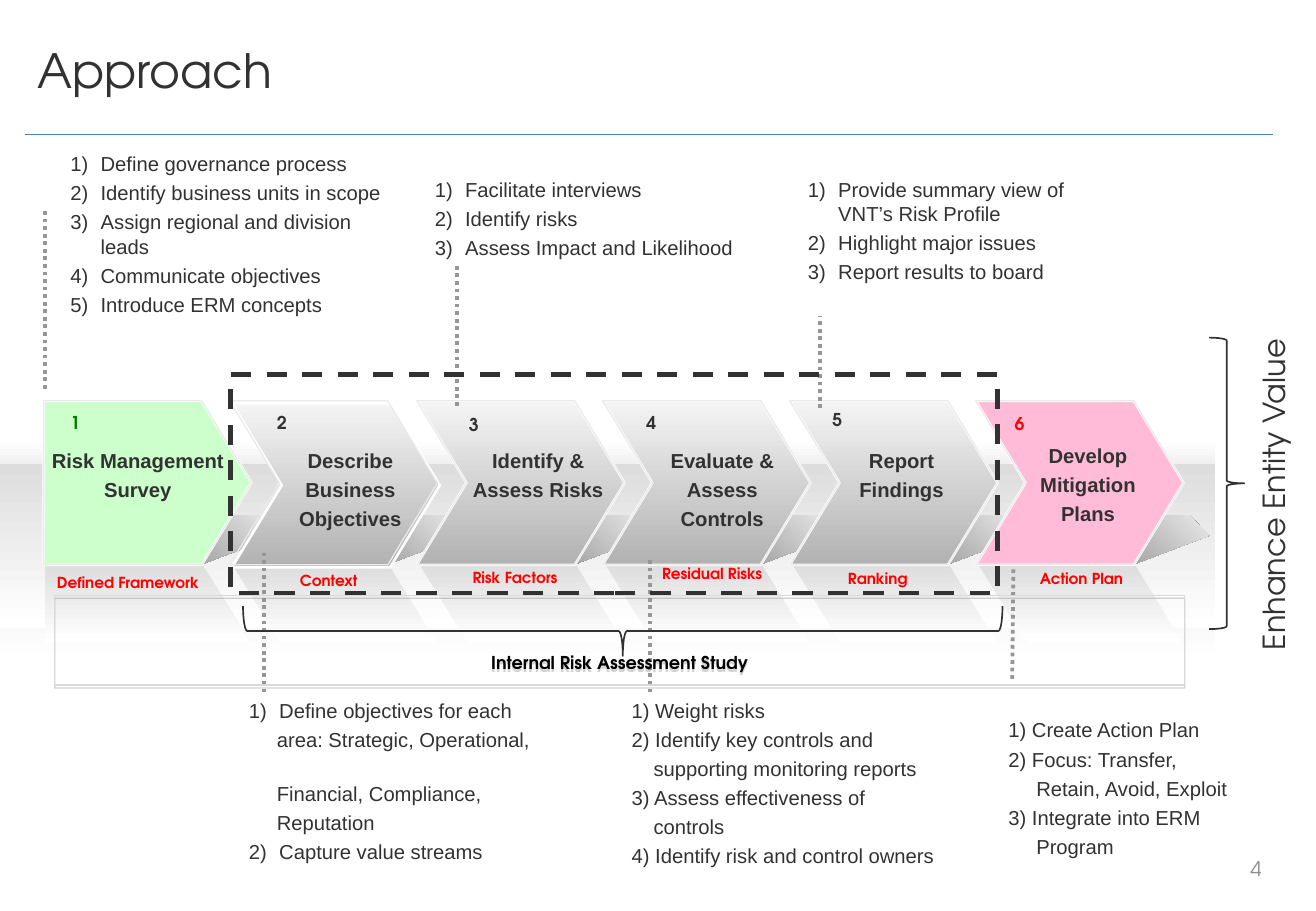
"""Build the Approach slide: a six-stage risk management process."""
import lxml.etree
import pptx
import pptx.dml.color
import pptx.enum.dml
import pptx.enum.shapes
import pptx.enum.text
import pptx.oxml.ns
import pptx.util

PX = 9144
RGB = pptx.dml.color.RGBColor
SHAPE = pptx.enum.shapes.MSO_SHAPE
DASH = pptx.enum.dml.MSO_LINE
ALIGN = pptx.enum.text.PP_ALIGN
ANCHOR = pptx.enum.text.MSO_ANCHOR
AUTO = pptx.enum.text.MSO_AUTO_SIZE
Pt = pptx.util.Pt

INK = RGB(0x31, 0x32, 0x31)
BLACK = RGB(0, 0, 0)
WHITE = RGB(0xFF, 0xFF, 0xFF)
RED = RGB(0xFF, 0, 0)
GREEN = RGB(0, 0x80, 0)
MINT = RGB(0xCC, 0xFF, 0xCC)
PINK = RGB(0xFF, 0xBB, 0xD7)
BLUE = RGB(0x4F, 0x81, 0xBD)
DOT_GRAY = RGB(0x96, 0x96, 0x96)
PAGE_GRAY = RGB(0x90, 0x90, 0x90)
EDGE = RGB(0xEA, 0xEA, 0xEA)
BOX_EDGE = RGB(0xD9, 0xD9, 0xD9)
MIST = RGB(0xDD, 0xDD, 0xDD)
STEEL = (RGB(0xF4, 0xF4, 0xF4), RGB(0xB2, 0xB2, 0xB2))
FOLD = (RGB(0x4D, 0x4D, 0x4D), EDGE)

BODY = {"name": "Arial", "size": Pt(12)}
STAGE = {**BODY, "bold": True}
DISPLAY = "TeX Gyre Adventor"
NUMBER = {"name": DISPLAY, "size": Pt(10.5), "bold": True}
OUTPUT = {"name": DISPLAY, "size": Pt(9), "bold": True}
SNUG = {"word_wrap": False, "auto_size": AUTO.SHAPE_TO_FIT_TEXT}
WRAPPED = {"word_wrap": True}
STAGE_FRAME = {**SNUG, "margin_left": 10 * PX, "margin_top": 10 * PX,
               "margin_right": 8 * PX, "margin_bottom": 10 * PX}
CENTRED = {"alignment": ALIGN.CENTER}
GAP = Pt(2.8)
WIDE_GAP = Pt(17.6)

STAGES = [
    (MINT, (32, 359, 161, 64), ["Risk Management", "Survey"],
     (48, 334), GREEN, (37, 467, 139), "Defined Framework"),
    (STEEL, (236, 359, 103, 89), ["Describe", "Business", "Objectives"],
     (218, 334), INK, (237, 465, 69), "Context"),
    (STEEL, (378, 359, 128, 89), ["Identify &", "Assess Risks"],
     (376, 336), INK, (379, 463, 91), "Risk Factors"),
    (STEEL, (541, 359, 105, 89), ["Evaluate &", "Assess", "Controls"],
     (522, 334), INK, (535, 460, 104), "Residual Risks"),
    (STEEL, (697, 359, 88, 64), ["Report", "Findings"],
     (675, 332), INK, (688, 464, 70), "Ranking"),
    (PINK, (846, 355, 97, 89), ["Develop", "Mitigation", "Plans"],
     (825, 335), RED, (846, 464, 90), "Action Plan"),
]
NUMBERED_LISTS = [
    ((48, 120, 289, 140), ["Define governance process", "Identify business units in scope",
                           "Assign regional and division leads", "Communicate objectives",
                           "Introduce ERM concepts"]),
    ((348, 141, 270, 105), ["Facilitate interviews", "Identify risks",
                            "Assess Impact and Likelihood"]),
    ((655, 141, 243, 105), ["Provide summary view of VNT’s Risk Profile",
                            "Highlight major issues", "Report results to board"]),
]
TYPED_LISTS = [
    ((195, 570, 257, 136), 23, ["1)\tDefine objectives for each", "area: Strategic, Operational,",
                                "Financial, Compliance,", "Reputation",
                                "2)\tCapture value streams"]),
    ((510, 570, 277, 147), 18, ["1) Weight risks", "2) Identify key controls and",
                                "supporting monitoring reports", "3) Assess effectiveness of",
                                "controls", "4) Identify risk and control owners"]),
    ((820, 586, 204, 119), 23, ["1) Create Action Plan", "2) Focus: Transfer,",
                                "Retain, Avoid, Exploit", "3) Integrate into ERM", "Program"]),
]
LEADERS = [(217, 570, 217, 455), (535, 570, 535, 460), (833, 559, 834, 467),
           (37, 320, 37, 173), (376, 334, 376, 216), (675, 336, 675, 260)]


def scaled(lengths):
    """Turn px lengths into EMU."""
    return [length * PX for length in lengths]


def apply(target, formats):
    """Set every attribute named in a dict of format values."""
    for name, value in formats.items():
        setattr(target, name, value)


def write(box, lines, font, colour, frame=SNUG, layout=None):
    """Fill a shape with paragraphs that share one format."""
    apply(box.text_frame, frame)
    for index, line in enumerate(lines):
        para = box.text_frame.paragraphs[0] if index == 0 else box.text_frame.add_paragraph()
        apply(para, layout or {})
        if index:
            para.space_before = GAP
        span = para.add_run()
        span.text = line
        apply(span.font, font)
        span.font.color.rgb = colour
    return box


def add_text(page, area, lines, font, colour, frame=SNUG, layout=None):
    """Add a text box."""
    return write(page.shapes.add_textbox(*scaled(area)), lines, font, colour, frame, layout)


def indent(para, left, hang):
    """Set the left margin and the hanging indent of a paragraph."""
    properties = para._p.get_or_add_pPr()
    properties.set("marL", str(left * PX))
    properties.set("indent", str(-hang * PX))
    return properties


def add_numbered_list(page, area, items):
    """Add a list with automatic numbers."""
    box = add_text(page, area, items, BODY, INK, WRAPPED)
    for para in box.text_frame.paragraphs:
        properties = indent(para, 25, 25)
        bullet = lxml.etree.SubElement(properties, pptx.oxml.ns.qn("a:buAutoNum"))
        bullet.set("type", "arabicParenR")


def add_typed_list(page, area, inset, lines):
    """Add a list with typed numbers and indented continuation lines."""
    box = add_text(page, area, lines, BODY, INK, WRAPPED)
    for para, line in zip(box.text_frame.paragraphs, lines):
        if "\t" in line:
            indent(para, 25, 25)
        elif not line[0].isdigit():
            indent(para, inset, 0)
        if line.startswith("Financial"):
            para.space_before = WIDE_GAP


def paint(shape, fill=None, line=None, width=0.75, angle=270):
    """Give a shape a plain, gradient or empty fill, and a line or none."""
    shape.shadow.inherit = False
    if fill is None:
        shape.fill.background()
    elif isinstance(fill, RGB):
        shape.fill.solid()
        shape.fill.fore_color.rgb = fill
    else:
        shape.fill.gradient()
        shape.fill.gradient_angle = angle
        for stop, colour in zip(shape.fill.gradient_stops, fill):
            stop.color.rgb = colour
    if line is None:
        shape.line.fill.background()
    else:
        shape.line.color.rgb = line
        shape.line.width = Pt(width)
    return shape


def add_preset(page, kind, area, adjustment=None, **look):
    """Add a painted preset shape."""
    shape = page.shapes.add_shape(kind, *scaled(area))
    if adjustment is not None:
        shape.adjustments[0] = adjustment
    return paint(shape, **look)


def add_outline(page, points, **look):
    """Add a painted closed polygon."""
    builder = page.shapes.build_freeform(*points[0], scale=PX)
    builder.add_line_segments(points[1:], close=True)
    return paint(builder.convert_to_shape(), **look)


def add_line(page, ends, colour, width, dash=None):
    """Add a straight line without a shadow."""
    line = page.shapes.add_connector(pptx.enum.shapes.MSO_CONNECTOR.STRAIGHT, *scaled(ends))
    line.line.color.rgb = colour
    apply(line.line, {"width": Pt(width), "dash_style": dash})
    lxml.etree.SubElement(line._element.spPr, pptx.oxml.ns.qn("a:effectLst"))


def add_backdrop(page, lefts):
    """Add the gray bands, the reflections and the folds behind the stages."""
    for top, height, fill in ((404, 142, (MIST, WHITE)), (362, 43, (WHITE, MIST)),
                              (382, 135, (MIST, WHITE))):
        add_preset(page, SHAPE.RECTANGLE, (0, top, 1000, height), fill=fill)
    add_outline(page, [(37, 465), (166, 464), (206, 529), (37, 529)], fill=(MIST, WHITE))
    for left in lefts[1:]:
        mirror = add_preset(page, SHAPE.PARALLELOGRAM, (left + 2, 464, 168, 65), 0.615,
                            fill=(WHITE, MIST))
        mirror._element.spPr.xfrm.set("flipV", "1")
    for left in lefts:
        fold = [(0, 465), (129, 465), (192, 441), (176, 424), (82, 424), (97, 442)]
        add_outline(page, [(left + x, y) for x, y in fold], fill=FOLD, angle=45)


def add_stages(page, lefts):
    """Add the six arrows with their titles."""
    for index, (left, stage) in enumerate(zip(lefts, STAGES)):
        fill, area, title = stage[:3]
        kind = SHAPE.CHEVRON if index else SHAPE.PENTAGON
        nudge = 2 if index == 1 else 0
        add_preset(page, kind, (left + nudge, 330 + nudge, 171, 135), 0.303,
                   fill=fill, line=WHITE, width=1.5)
        add_preset(page, kind, (left, 330, 171, 135), 0.303, line=EDGE)
        add_text(page, area, title, STAGE, INK, STAGE_FRAME, CENTRED)


def add_study(page):
    """Add the dashed scope frame and the study box."""
    scope = add_preset(page, SHAPE.RECTANGLE, (190, 308, 631, 181), line=INK, width=3)
    scope.line.dash_style = DASH.DASH
    study = add_preset(page, SHAPE.RECTANGLE, (45, 490, 930, 74), line=BOX_EDGE)
    effects = study._element.spPr.find(pptx.oxml.ns.qn("a:effectLst"))
    effects.append(pptx.oxml.parse_xml(
        f'<a:outerShdw {pptx.oxml.ns.nsdecls("a")} blurRad="0" dist="22860" dir="5400000">'
        '<a:srgbClr val="808080"><a:alpha val="35000"/></a:srgbClr></a:outerShdw>'))
    write(study, ["Internal Risk Assessment Study"], NUMBER, BLACK,
          {"vertical_anchor": ANCHOR.MIDDLE, "margin_top": 41 * PX}, CENTRED)


def main():
    """Build and save the deck."""
    deck = pptx.Presentation()
    deck.slide_width, deck.slide_height = scaled((1083, 750))
    page = deck.slides.add_slide(deck.slide_layouts[5])
    title = page.shapes.title
    apply(title, dict(zip(("left", "top", "width", "height"), scaled((21, 18, 934, 84)))))
    write(title, ["Approach"], {"name": DISPLAY, "size": Pt(28)}, INK,
          {"vertical_anchor": ANCHOR.MIDDLE}, {"alignment": ALIGN.LEFT, "line_spacing": 0.9})
    add_line(page, (21, 111, 1048, 111), BLUE, 0.5)
    add_text(page, (804, 695, 244, 40), ["4"], {"name": DISPLAY, "size": Pt(12)}, PAGE_GRAY,
             {"word_wrap": True, "vertical_anchor": ANCHOR.MIDDLE}, {"alignment": ALIGN.RIGHT})

    lefts = [round(36 + 153.4 * index) for index in range(len(STAGES))]
    add_backdrop(page, lefts)
    add_stages(page, lefts)
    for area, items in NUMBERED_LISTS:
        add_numbered_list(page, area, items)
    for area, inset, lines in TYPED_LISTS:
        add_typed_list(page, area, inset, lines)
    for ends in LEADERS:
        add_line(page, ends, DOT_GRAY, 2.25, DASH.ROUND_DOT)
    add_study(page)
    for number, stage in enumerate(STAGES, 1):
        place, colour, (left, top, width), output = stage[3:]
        add_text(page, (left, top, width, 25), [output], OUTPUT, RED)
        add_text(page, (*place, 28, 28), [str(number)], NUMBER, colour, layout=CENTRED)
    brace = add_preset(page, SHAPE.RIGHT_BRACE, (492, 207, 41, 625), line=INK, width=1)
    brace.rotation = 90
    add_preset(page, SHAPE.RIGHT_BRACE, (995, 278, 29, 240), line=INK, width=1)
    value = add_text(page, (909, 386, 278, 40), ["Enhance Entity Value"],
                     {"name": DISPLAY, "size": Pt(18)}, INK)
    value.rotation = 270
    deck.save("out.pptx")


if __name__ == "__main__":
    main()
